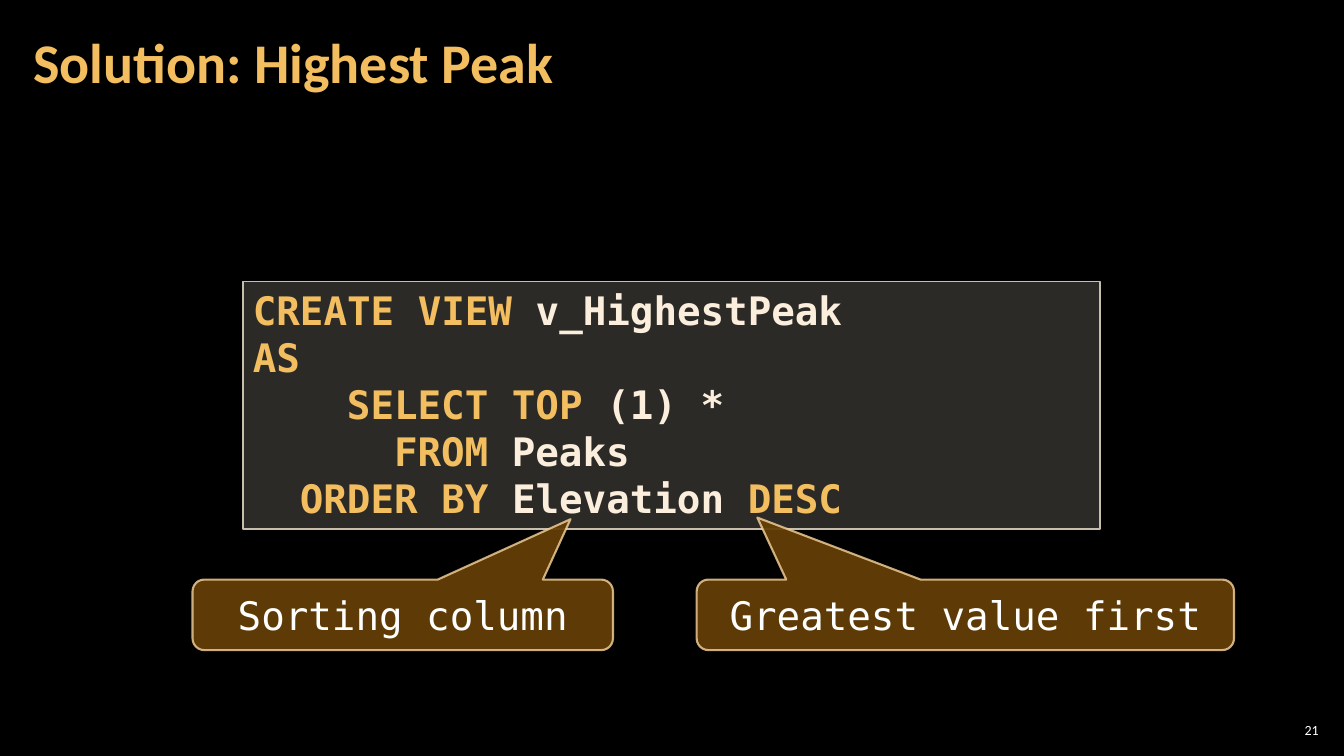
from dataclasses import dataclass

from pptx import Presentation
from pptx.dml.color import RGBColor
from pptx.enum.shapes import MSO_SHAPE
from pptx.enum.text import MSO_ANCHOR, PP_ALIGN
from pptx.oxml.ns import qn
from pptx.oxml.xmlchemy import OxmlElement
from pptx.util import Inches, Pt


@dataclass(frozen=True)
class Theme:
    background: str = "000000"
    accent: str = "F3BE60"
    code_text: str = "FBEEDC"
    code_fill: str = "D9D5C7"
    code_line: str = "C7BFAC"
    callout_fill: str = "643F07"
    callout_line: str = "F8D49E"
    white: str = "FFFFFF"
    text_font: str = "Calibri"
    code_font: str = "DejaVu Sans Mono"
    title_size: int = 40
    code_size: int = 28
    number_size: int = 10


THEME = Theme()
CHARACTER_WIDTH = 0.6 * THEME.code_size / 72  # monospaced advance in inches

# Each line: indent in characters, then (text, is keyword) pieces.
CODE_LINES = [
    (0, [("CREATE VIEW ", True), ("v_HighestPeak", False)]),
    (0, [("AS", True)]),
    (4, [("SELECT TOP ", True), ("(1) *", False)]),
    (6, [("FROM", True), (" Peaks", False)]),
    (2, [("ORDER BY ", True), ("Elevation ", False), ("DESC", True)]),
]

# Each callout: text, box, pointer tip relative to the box centre.
CALLOUTS = [
    ("Greatest value first", (6.91, 5.75, 5.33, 0.7), (-0.387, -1.378)),
    ("Sorting column", (1.91, 5.75, 4.17, 0.7), (0.399, -1.356)),
]


def format_run(run, font, size, color, bold=False):
    run.font.name = font
    run.font.size = Pt(size)
    run.font.bold = bold
    run.font.color.rgb = RGBColor.from_string(color)


def set_opacity(shape, fill_location, percent):
    """Set the opacity of the solid fill found at a location below spPr."""
    for color in shape._element.spPr.xpath(f"{fill_location}/a:srgbClr"):
        alpha = OxmlElement("a:alpha")
        alpha.set("val", str(percent * 1000))
        color.append(alpha)


def add_panel(slide, kind, box, fill, fill_opacity, line, line_width):
    shape = slide.shapes.add_shape(kind, *map(Inches, box))
    shape.shadow.inherit = False
    shape.fill.solid()
    shape.fill.fore_color.rgb = RGBColor.from_string(fill)
    shape.line.color.rgb = RGBColor.from_string(line)
    shape.line.width = Pt(line_width)
    set_opacity(shape, "./a:solidFill", fill_opacity)
    return shape


def add_label(slide, box, text, size, color, side_inset, bold=False, align=PP_ALIGN.LEFT):
    """Add a vertically centred one-line text box."""
    text_frame = slide.shapes.add_textbox(*map(Inches, box)).text_frame
    text_frame.word_wrap = True
    text_frame.vertical_anchor = MSO_ANCHOR.MIDDLE
    text_frame.margin_left = text_frame.margin_right = Inches(side_inset)
    text_frame.margin_top = text_frame.margin_bottom = Inches(0.04)
    text_frame.text = text
    paragraph = text_frame.paragraphs[0]
    paragraph.alignment = align
    format_run(paragraph.runs[0], THEME.text_font, size, color, bold)
    return paragraph


def add_title(slide, box, text):
    paragraph = add_label(slide, box, text, THEME.title_size, THEME.accent, 0.12, bold=True)
    paragraph.line_spacing = 0.9


def add_page_number(slide, box, number):
    add_label(slide, box, str(number), THEME.number_size, THEME.white, 0.04,
              align=PP_ALIGN.RIGHT)


def add_code(slide, box, lines):
    panel = add_panel(slide, MSO_SHAPE.RECTANGLE, box, THEME.code_fill, 20,
                      THEME.code_line, 1)
    text_frame = panel.text_frame
    text_frame.word_wrap = True
    text_frame.vertical_anchor = MSO_ANCHOR.TOP
    for index, (indent, pieces) in enumerate(lines):
        paragraph = text_frame.add_paragraph() if index else text_frame.paragraphs[0]
        paragraph.alignment = PP_ALIGN.LEFT
        properties = paragraph._p.get_or_add_pPr()
        properties.set("marL", str(Inches(indent * CHARACTER_WIDTH)))
        properties.set("indent", "0")
        for text, is_keyword in pieces:
            run = paragraph.add_run()
            run.text = text
            color = THEME.accent if is_keyword else THEME.code_text
            format_run(run, THEME.code_font, THEME.code_size, color, bold=True)


def add_callout(slide, text, box, tip):
    callout = add_panel(slide, MSO_SHAPE.ROUNDED_RECTANGULAR_CALLOUT, box,
                        THEME.callout_fill, 95, THEME.callout_line, 1.5)
    set_opacity(callout, "./a:ln/a:solidFill", 80)
    callout.adjustments[0], callout.adjustments[1] = tip
    text_frame = callout.text_frame
    text_frame.word_wrap = True
    text_frame.vertical_anchor = MSO_ANCHOR.MIDDLE
    text_frame.text = text
    paragraph = text_frame.paragraphs[0]
    paragraph.alignment = PP_ALIGN.CENTER
    format_run(paragraph.runs[0], THEME.code_font, THEME.code_size, THEME.white)


def main():
    presentation = Presentation()
    presentation.slide_width = Inches(13.33)
    presentation.slide_height = Inches(7.5)
    slide = presentation.slides.add_slide(presentation.slide_layouts[6])
    slide.background.fill.solid()
    slide.background.fill.fore_color.rgb = RGBColor.from_string(THEME.background)

    add_page_number(slide, (12.65, 7.14, 0.47, 0.21), 21)
    add_title(slide, (0.21, 0.04, 10.47, 1.21), "Solution: Highest Peak")
    add_code(slide, (2.41, 2.79, 8.5, 2.46), CODE_LINES)
    for text, box, tip in CALLOUTS:
        add_callout(slide, text, box, tip)

    presentation.save("out.pptx")


if __name__ == "__main__":
    main()
